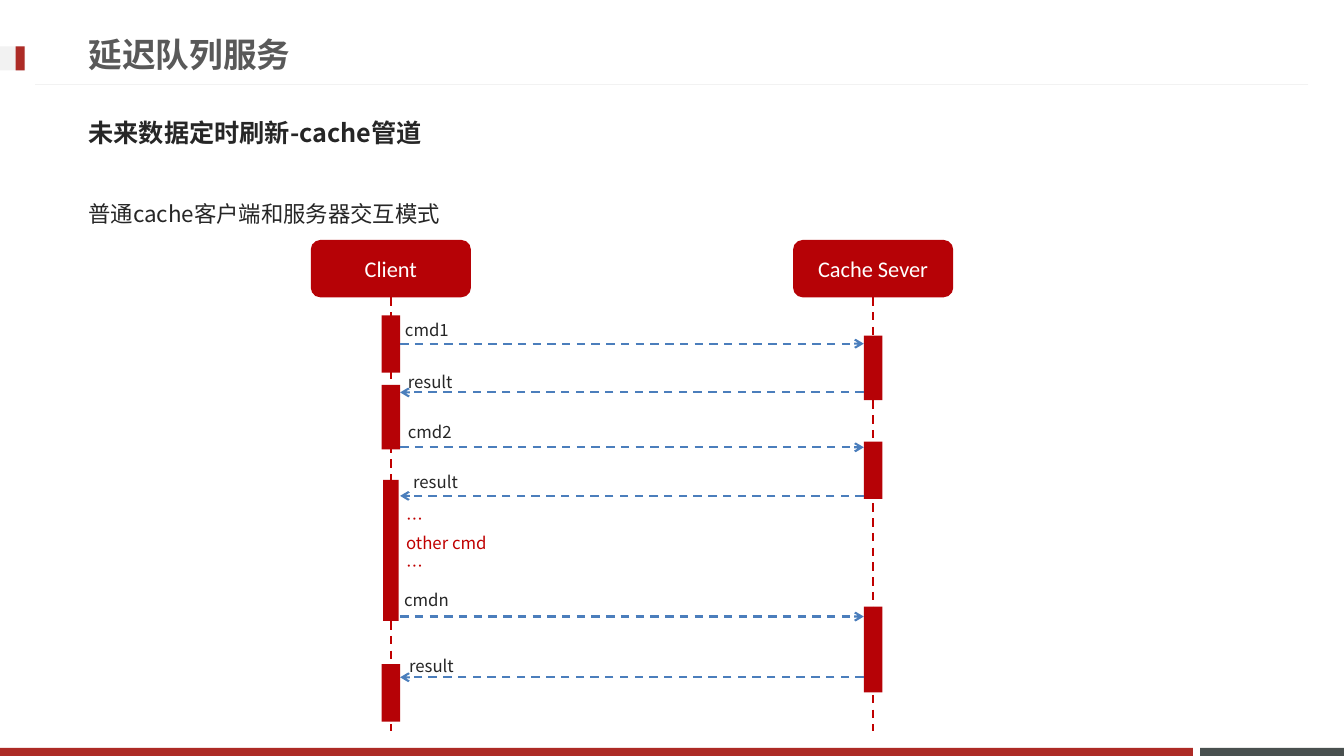
from lxml.etree import SubElement
from pptx import Presentation
from pptx.dml.color import RGBColor
from pptx.enum.dml import MSO_LINE
from pptx.enum.shapes import MSO_CONNECTOR, MSO_SHAPE
from pptx.enum.text import MSO_ANCHOR, MSO_AUTO_SIZE, PP_ALIGN
from pptx.oxml.ns import qn
from pptx.util import Pt

RED = RGBColor(0xB6, 0x02, 0x06)
DASH_RED = RGBColor(0xC0, 0x00, 0x00)
BRAND_RED = RGBColor(0xAD, 0x2B, 0x26)
BLUE = RGBColor(0x4B, 0x7E, 0xBC)
SLATE = RGBColor(0x49, 0x50, 0x4F)
PALE = RGBColor(0xF2, 0xF2, 0xF2)
TITLE_GRAY = RGBColor(0x59, 0x59, 0x59)
INK = RGBColor(0x26, 0x26, 0x26)
WHITE = RGBColor(0xFF, 0xFF, 0xFF)
CJK_FONT = "Noto Sans CJK JP"

presentation = Presentation()
presentation.slide_width = Pt(960)
presentation.slide_height = Pt(540)
slide = presentation.slides.add_slide(presentation.slide_layouts[5])
shapes = slide.shapes


def write(shape, text, size=12, font=CJK_FONT, color=INK, bold=False,
          align=PP_ALIGN.LEFT, anchor=MSO_ANCHOR.TOP, spacing=1.0, before=0.2):
    """Fill a shape with one formatted paragraph per line of text."""
    frame = shape.text_frame
    frame.word_wrap = True
    frame.auto_size = MSO_AUTO_SIZE.NONE
    frame.vertical_anchor = anchor
    frame.text = text
    for paragraph in frame.paragraphs:
        paragraph.alignment = align
        paragraph.line_spacing = spacing
        paragraph.space_before = Pt(size * before)
        run = paragraph.runs[0]
        run.font.size = Pt(size)
        run.font.name = font
        run.font.bold = bold
        run.font.color.rgb = color
        SubElement(run.font._element, qn("a:ea"), typeface=CJK_FONT)


def add_line(start, end, color, width=1.5, dashed=True, arrow=False):
    """Draw a straight line between two points."""
    line = shapes.add_connector(MSO_CONNECTOR.STRAIGHT, Pt(start[0]), Pt(start[1]),
                                Pt(end[0]), Pt(end[1]))
    line.line.color.rgb = color
    line.line.width = Pt(width)
    if dashed:
        line.line.dash_style = MSO_LINE.DASH
    if arrow:
        SubElement(line.line._get_or_add_ln(), qn("a:tailEnd"), type="arrow")
    SubElement(line._element.spPr, qn("a:effectLst"))


# Title and headings
title = shapes.title
title.left, title.top, title.width, title.height = Pt(56.2), Pt(18.2), Pt(690.5), Pt(41)
write(title, "延迟队列服务", size=24, font="Arial", color=TITLE_GRAY, bold=True,
      anchor=MSO_ANCHOR.MIDDLE, before=0)
subtitle = shapes.add_textbox(Pt(56.2), Pt(74.2), Pt(842.4), Pt(41))
write(subtitle, "未来数据定时刷新-cache管道", size=18, bold=True, anchor=MSO_ANCHOR.MIDDLE)
caption = shapes.add_textbox(Pt(56.2), Pt(129.6), Pt(842.4), Pt(41))
write(caption, "普通cache客户端和服务器交互模式", size=16, spacing=1.5)

# Header rule and lifelines
CLIENT_X, SERVER_X = 279.2, 623.7
LIFELINE_TOP, LIFELINE_BOTTOM = 212.4, 522
add_line((934.6, 60.5), (25.2, 60.5), PALE, width=0.75, dashed=False)
for center in (CLIENT_X, SERVER_X):
    add_line((center, LIFELINE_TOP), (center, LIFELINE_BOTTOM), DASH_RED)

# Frame blocks and activation bars: left, top, width, height, fill
blocks = [
    (857.2, 534.2, 102.8, 5.8, SLATE),
    (0, 534.2, 852, 5.8, BRAND_RED),
    (0, 33.1, 18, 17.3, PALE),
    (11.2, 33.1, 6.5, 17.3, BRAND_RED),
]
activations = [
    (CLIENT_X, 225.2, 13.2, 41), (CLIENT_X, 275, 13.2, 46),
    (CLIENT_X, 342.7, 11.2, 100.8), (CLIENT_X, 474.5, 13.2, 41),
    (SERVER_X, 239.8, 13.2, 46), (SERVER_X, 315.4, 13.2, 41),
    (SERVER_X, 433.4, 13.2, 61.2),
]
blocks += [(center - width / 2, top, width, height, RED)
           for center, top, width, height in activations]
for left, top, width, height, color in blocks:
    block = shapes.add_shape(MSO_SHAPE.RECTANGLE, Pt(left), Pt(top), Pt(width), Pt(height))
    block.shadow.inherit = False
    block.fill.solid()
    block.fill.fore_color.rgb = color
    block.line.fill.background()

# Participants
for name, center in (("Client", CLIENT_X), ("Cache Sever", SERVER_X)):
    participant = shapes.add_shape(MSO_SHAPE.ROUNDED_RECTANGLE, Pt(center - 57.2),
                                   Pt(171.4), Pt(114.4), Pt(41))
    participant.shadow.inherit = False
    participant.fill.solid()
    participant.fill.fore_color.rgb = RED
    participant.line.fill.background()
    write(participant, name, size=16, font="Calibri", color=WHITE,
          align=PP_ALIGN.CENTER, anchor=MSO_ANCHOR.MIDDLE, before=0)

# Messages: label, label left, label top, arrow height; requests and replies alternate
messages = [
    ("cmd1", 282.2, 217.8, 245.5),
    ("result", 284.2, 254.9, 280.3),
    ("cmd2", 284.2, 290.5, 319.5),
    ("result", 288, 326.2, 354.2),
    ("cmdn", 281.5, 410.4, 440.4),
    ("result", 285.1, 457.9, 483.8),
]
for index, (label, left, top, arrow_y) in enumerate(messages):
    ends = [(285.8, arrow_y), (617, arrow_y)]
    start, end = ends if index % 2 == 0 else reversed(ends)
    add_line(start, end, BLUE, arrow=True)
    box = shapes.add_textbox(Pt(left), Pt(top), Pt(51.8), Pt(26.6))
    write(box, label, spacing=1.5)

# Omitted commands
omitted = shapes.add_textbox(Pt(283), Pt(360), Pt(94.3), Pt(59))
write(omitted, "…\nother cmd\n…", color=DASH_RED)

presentation.save("out.pptx")
